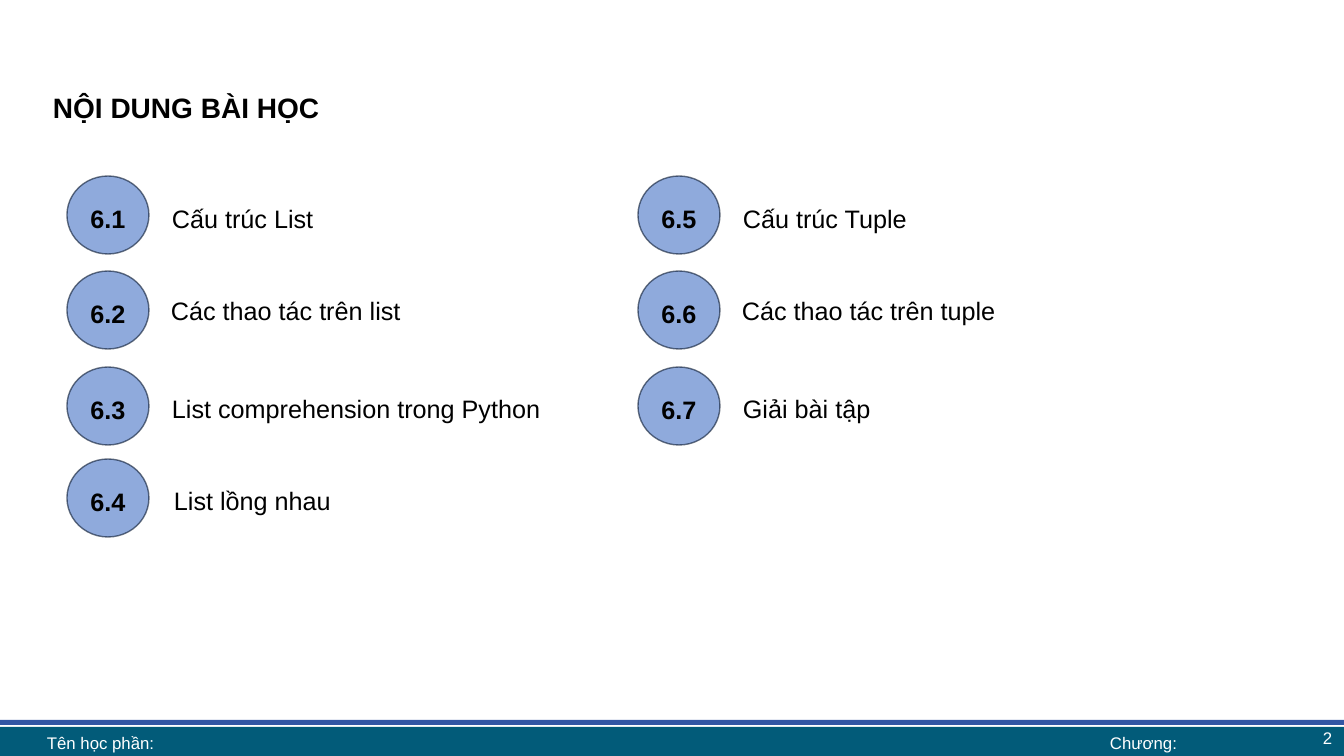
from dataclasses import dataclass

from lxml import etree
from pptx import Presentation
from pptx.dml.color import RGBColor
from pptx.enum.shapes import MSO_SHAPE
from pptx.enum.text import MSO_ANCHOR, MSO_AUTO_SIZE, PP_ALIGN
from pptx.oxml.ns import qn
from pptx.util import Emu, Pt

RECTANGLE, OVAL = MSO_SHAPE.RECTANGLE, MSO_SHAPE.OVAL
TOP, MIDDLE = MSO_ANCHOR.TOP, MSO_ANCHOR.MIDDLE
LEFT, CENTER, RIGHT, JUSTIFY = (
    PP_ALIGN.LEFT, PP_ALIGN.CENTER, PP_ALIGN.RIGHT, PP_ALIGN.JUSTIFY)
GROW = MSO_AUTO_SIZE.SHAPE_TO_FIT_TEXT

# Content
HEADING = "NỘI DUNG BÀI HỌC"
COURSE, CHAPTER, PAGE = "Tên học phần:", "Chương:", "2"
TOPIC_COLUMNS = [
    [("6.1", "Cấu trúc List"),
     ("6.2", "Các thao tác trên list"),
     ("6.3", "List comprehension trong Python"),
     ("6.4", "List lồng nhau")],
    [("6.5", "Cấu trúc Tuple"),
     ("6.6", "Các thao tác trên tuple"),
     ("6.7", "Giải bài tập")],
]

# Layout in px
EMU_PER_PX = 914400 / 100.8
SLIDE_W, SLIDE_H = 1344, 756
COLUMN_LEFTS = [67, 638]
BADGE_W, BADGE_H = 82, 78
LABEL_H = 42
# badge top, label top, label offset from column, label width
TOPIC_ROWS = [
    (176, 194, 95, 763),
    (271, 286, 94, 768),
    (367, 384, 95, 510),
    (459, 476, 97, 625),
]
FOOTER_TOP, FOOTER_H = 727, 31


@dataclass(frozen=True)
class Theme:
    font: str = "Arial"
    ink: str = "000000"
    paper: str = "FFFFFF"
    footer: str = "025B79"
    stripe: str = "3256A4"
    badge: str = "8FAADC"
    outline: str = "08172E"
    heading_size: int = 20
    topic_size: int = 18
    footer_size: int = 12


THEME = Theme()


def px(length):
    return Emu(round(length * EMU_PER_PX))


def box_px(*box):
    return [px(length) for length in box]


def write(shape, text, *, size, color=THEME.ink, bold=False, align=LEFT,
          anchor=TOP, spacing=None, before=0, autosize=None, flat=False):
    """Set one formatted paragraph; flat removes the upper and lower insets."""
    frame = shape.text_frame
    frame.word_wrap = True
    frame.vertical_anchor = anchor
    if autosize is not None:
        frame.auto_size = autosize
    if flat:
        frame.margin_top = frame.margin_bottom = 0
    paragraph = frame.paragraphs[0]
    paragraph.alignment = align
    paragraph.line_spacing = spacing
    paragraph.space_before = Pt(before)
    run = paragraph.add_run()
    run.text = text
    run.font.name = THEME.font
    run.font.size = Pt(size)
    run.font.bold = bold
    run.font.color.rgb = RGBColor.from_string(color)


def add_filled(shapes, kind, box, color):
    shape = shapes.add_shape(kind, *box_px(*box))
    shape.shadow.inherit = False
    shape.fill.solid()
    shape.fill.fore_color.rgb = RGBColor.from_string(color)
    shape.line.fill.background()
    return shape


def add_text(shapes, box, text, **style):
    write(shapes.add_textbox(*box_px(*box)), text, **style)


def add_badge(shapes, left, top, number):
    badge = add_filled(shapes, OVAL, (left, top, BADGE_W, BADGE_H), THEME.badge)
    badge.line.color.rgb = RGBColor.from_string(THEME.outline)
    badge.line.width = Pt(1)
    outline_color = badge.line.fill._xPr.find(".//" + qn("a:srgbClr"))
    etree.SubElement(outline_color, qn("a:alpha"), val="60000")
    write(badge, number, size=THEME.topic_size, bold=True, align=CENTER,
          anchor=MIDDLE, spacing=1.2, before=5)


def add_topics(slide, left, topics):
    shapes = slide.shapes.add_group_shape().shapes
    for (number, title), row in zip(topics, TOPIC_ROWS):
        badge_top, label_top, offset, width = row
        add_badge(shapes, left, badge_top, number)
        add_text(shapes, (left + offset, label_top, width, LABEL_H), title,
                 size=THEME.topic_size, align=JUSTIFY, spacing=Pt(25),
                 before=5, autosize=GROW)


def add_footer(shapes):
    add_filled(shapes, RECTANGLE, (0, FOOTER_TOP, SLIDE_W, FOOTER_H), THEME.footer)
    add_filled(shapes, RECTANGLE, (-1, 720, SLIDE_W + 2, 5), THEME.stripe)
    footer_style = dict(size=THEME.footer_size, color=THEME.paper, anchor=MIDDLE)
    add_text(shapes, (1039, 720, 303, 35), PAGE, align=RIGHT, **footer_style)
    add_text(shapes, (1068, FOOTER_TOP, 151, FOOTER_H), CHAPTER,
             align=CENTER, flat=True, **footer_style)
    add_text(shapes, (37, FOOTER_TOP, 1032, FOOTER_H), COURSE,
             flat=True, **footer_style)


def main():
    deck = Presentation()
    deck.slide_width, deck.slide_height = box_px(SLIDE_W, SLIDE_H)
    slide = deck.slides.add_slide(deck.slide_layouts[6])
    slide.background.fill.solid()
    slide.background.fill.fore_color.rgb = RGBColor.from_string(THEME.paper)

    add_footer(slide.shapes)
    add_text(slide.shapes, (43, 79, 1257, 88), HEADING, size=THEME.heading_size,
             bold=True, align=JUSTIFY, spacing=1.2, before=5)
    for left, topics in zip(COLUMN_LEFTS, TOPIC_COLUMNS):
        add_topics(slide, left, topics)
    deck.save("out.pptx")


if __name__ == "__main__":
    main()
